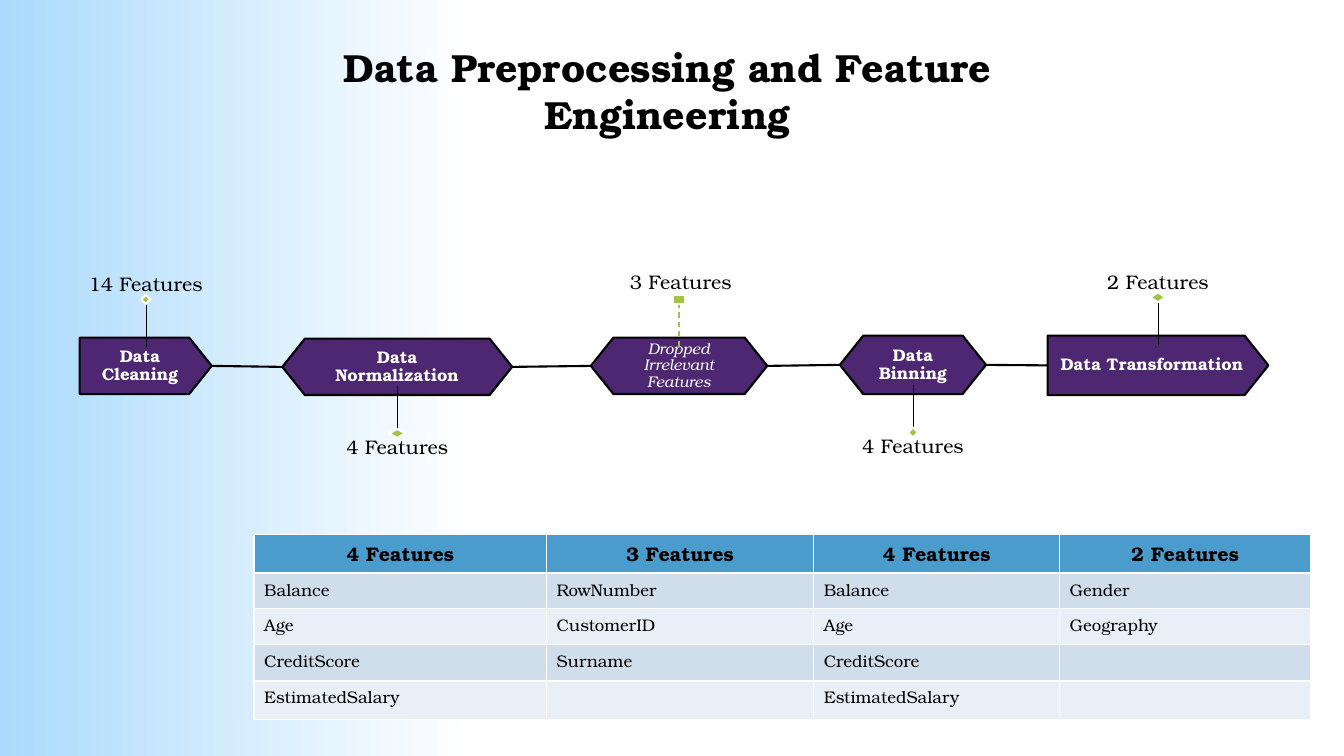
from lxml import etree
from pptx import Presentation
from pptx.dml.color import RGBColor
from pptx.enum.dml import MSO_LINE
from pptx.enum.shapes import MSO_CONNECTOR, MSO_SHAPE
from pptx.enum.text import MSO_ANCHOR, MSO_AUTO_SIZE, PP_ALIGN
from pptx.oxml.ns import qn
from pptx.util import Inches, Pt

STRAIGHT = MSO_CONNECTOR.STRAIGHT
PLATE, HEXAGON = MSO_SHAPE.PENTAGON, MSO_SHAPE.HEXAGON
DIAMOND, RECT = MSO_SHAPE.DIAMOND, MSO_SHAPE.RECTANGLE
TOP, MIDDLE, BOTTOM = MSO_ANCHOR.TOP, MSO_ANCHOR.MIDDLE, MSO_ANCHOR.BOTTOM
LEFT, CENTER = PP_ALIGN.LEFT, PP_ALIGN.CENTER
DASH, NO_FIT = MSO_LINE.DASH, MSO_AUTO_SIZE.NONE
FONT = "TeX Gyre Bonum"
COLORS = {
    "black": "000000", "white": "FFFFFF", "sky": "ABDAFC", "purple": "4D2771",
    "green": "9EC544", "header": "4A9CCC", "band1": "D0DEEC", "band2": "E9EFF6",
}
STAGES = [
    {"name": "Data Cleaning", "box": (0.79, 3.35, 1.31, 0.56), "kind": PLATE,
     "label": "14 Features", "side": -1, "marker": (0.09, 0.09)},
    {"name": "Data Normalization", "box": (2.8, 3.36, 2.28, 0.56), "kind": HEXAGON,
     "label": "4 Features", "side": 1, "marker": (0.16, 0.09)},
    {"name": "Dropped Irrelevant Features", "box": (5.86, 3.35, 1.75, 0.56),
     "kind": HEXAGON, "side": -1, "marker": (0.12, 0.09), "dropped": True},
    {"name": "Data Binning", "box": (8.33, 3.33, 1.45, 0.58), "kind": HEXAGON,
     "label": "4 Features", "side": 1, "marker": (0.1, 0.1)},
    {"name": "Data Transformation", "box": (10.39, 3.33, 2.19, 0.59), "kind": PLATE,
     "label": "2 Features", "side": -1, "marker": (0.15, 0.1)},
]
FEATURES = [
    ["4 Features", "3 Features", "4 Features", "2 Features"],
    ["Balance", "RowNumber", "Balance", "Gender"],
    ["Age", "CustomerID", "Age", "Geography"],
    ["CreditScore", "Surname", "CreditScore", ""],
    ["EstimatedSalary", "", "EstimatedSalary", ""],
]


def rgb(name):
    """Return the palette colour as an RGBColor."""
    return RGBColor.from_string(COLORS[name])


def set_text(tf, text, size, color="black", bold=False, italic=False,
             align=CENTER, anchor=TOP, spacing=None, insets=(0.1, 0.05)):
    """Fill a text frame with one formatted paragraph."""
    tf.word_wrap = True
    tf.auto_size = NO_FIT
    tf.vertical_anchor = anchor
    tf.margin_left = tf.margin_right = Inches(insets[0])
    tf.margin_top = tf.margin_bottom = Inches(insets[1])
    tf.text = text
    p = tf.paragraphs[0]
    p.alignment = align
    p.line_spacing = spacing
    format_run(p.runs[0], size, color, bold, italic)


def format_run(r, size, color="black", bold=False, italic=False):
    """Set the font of a run."""
    r.font.name, r.font.size = FONT, Pt(size)
    r.font.bold, r.font.italic = bold, italic
    r.font.color.rgb = rgb(color)


def add_box(slide, kind, box, fill, line):
    """Add a filled and outlined preset shape."""
    sp = slide.shapes.add_shape(kind, *map(Inches, box))
    sp.shadow.inherit = False
    sp.fill.solid()
    sp.fill.fore_color.rgb = rgb(fill)
    sp.line.color.rgb = rgb(line)
    sp.line.width = Pt(1.5)
    return sp


def add_line(slide, start, end, color, width):
    """Add a straight connector without a shadow."""
    cx = slide.shapes.add_connector(STRAIGHT, *map(Inches, start + end))
    cx.line.color.rgb = rgb(color)
    cx.line.width = Pt(width)
    etree.SubElement(cx._element.spPr, qn("a:effectLst"))
    return cx


def add_background(slide):
    """Paint the white to sky blue gradient."""
    fill = slide.background.fill
    fill.gradient()
    fill.gradient_angle = 180
    for stop, position, color in zip(fill.gradient_stops, (0.65, 1), ("white", "sky")):
        stop.position = position
        stop.color.rgb = rgb(color)


def add_title(slide, box):
    """Place and format the slide title."""
    sp = slide.shapes.title
    sp.left, sp.top, sp.width, sp.height = map(Inches, box)
    set_text(sp.text_frame, "Data Preprocessing and Feature Engineering", 28, bold=True)


def add_label(slide, text, box, **style):
    """Add a feature count."""
    sp = slide.shapes.add_textbox(*map(Inches, box))
    set_text(sp.text_frame, text, 14, **style)


def add_stage(slide, stage):
    """Draw one stage with its leader, marker and feature count."""
    x, y, w, h = stage["box"]
    side, dropped = stage["side"], stage.get("dropped", False)
    sp = add_box(slide, stage["kind"], stage["box"], "purple", "black")
    sp.adjustments[0] = 0.4
    set_text(sp.text_frame, stage["name"], 11 if dropped else 12, "white",
             bold=not dropped, italic=dropped, anchor=MIDDLE, spacing=0.9,
             insets=(0.1, 0.1))

    mid = x + w / 2
    edge = y + h if side > 0 else y
    tip = edge + side * 0.38
    if "label" in stage:
        label_w, label_h = w * 1.39, 1.5
        near = edge + side * 0.28
        top, anchor = (near, TOP) if side > 0 else (near - label_h, BOTTOM)
        add_label(slide, stage["label"], (mid - label_w / 2, top, label_w, label_h),
                  anchor=anchor, spacing=0.9, insets=(0, 0.14))

    leader = add_line(slide, (mid, edge - side * 0.09), (mid, tip),
                      "green" if dropped else "black", 1 if dropped else 0.25)
    if dropped:
        leader.line.dash_style = DASH
    mw, mh = stage["marker"]
    add_box(slide, RECT if dropped else DIAMOND,
            (mid - mw / 2, tip - mh / 2, mw, mh), "green", "white")


def add_pipeline(slide):
    """Draw the stages and link the tips of neighbours."""
    for stage in STAGES:
        add_stage(slide, stage)
    for a, b in zip(STAGES, STAGES[1:]):
        ax, ay, aw, ah = a["box"]
        bx, by, _, bh = b["box"]
        add_line(slide, (ax + aw, ay + ah / 2), (bx, by + bh / 2), "black", 1.5)
    add_label(slide, "3 Features", (6.15, 2.63, 1.23, 0.34), align=LEFT)


def add_feature_table(slide, box):
    """Add the table of features per stage."""
    table = slide.shapes.add_table(len(FEATURES), len(FEATURES[0]),
                                   *map(Inches, box)).table
    for col, width in zip(table.columns, (2.9, 2.65, 2.44, 2.49)):
        col.width = Inches(width)
    for row, height in zip(table.rows, (0.38, 0.35, 0.36, 0.36, 0.38)):
        row.height = Inches(height)
    for i, values in enumerate(FEATURES):
        header = i == 0
        fill = "header" if header else "band1" if i % 2 else "band2"
        for j, value in enumerate(values):
            cell = table.cell(i, j)
            cell.fill.solid()
            cell.fill.fore_color.rgb = rgb(fill)
            cell.text = value
            p = cell.text_frame.paragraphs[0]
            p.alignment = CENTER if header else LEFT
            for r in p.runs:
                format_run(r, 14 if header else 12, bold=header)
            if not value:
                etree.SubElement(p._p, qn("a:endParaRPr")).set("sz", "1200")


def main():
    """Build and save the slide."""
    prs = Presentation()
    prs.slide_width, prs.slide_height = Inches(13.33), Inches(7.5)
    slide = prs.slides.add_slide(prs.slide_layouts[5])
    add_background(slide)
    add_title(slide, (3.12, 0.38, 7, 1.04))
    add_pipeline(slide)
    add_feature_table(slide, (2.52, 5.3, 10.48, 1.83))
    prs.save("out.pptx")


if __name__ == "__main__":
    main()
